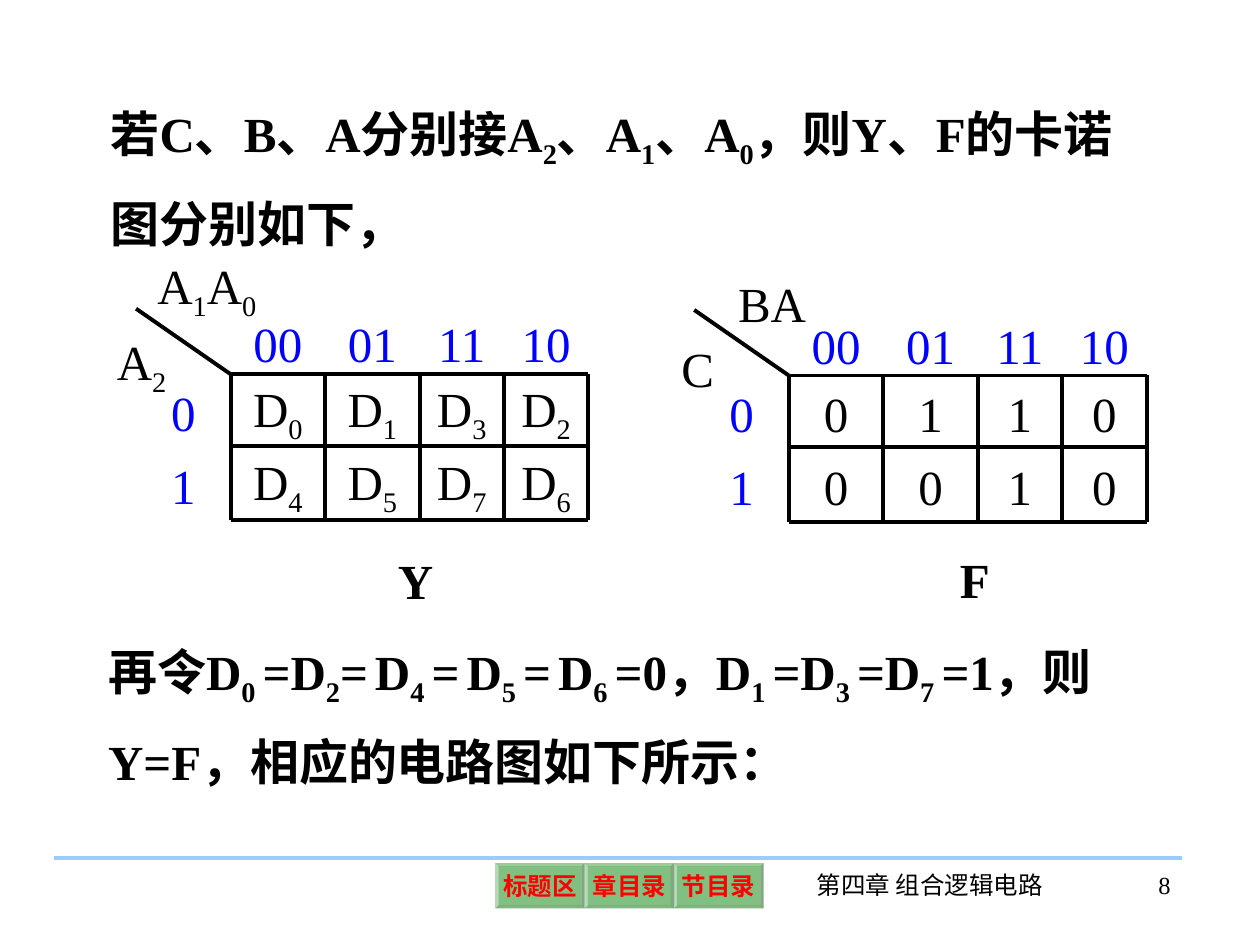
from itertools import accumulate

from lxml import etree
from pptx import Presentation
from pptx.dml.color import RGBColor
from pptx.enum.shapes import MSO_CONNECTOR, MSO_SHAPE
from pptx.enum.text import MSO_ANCHOR, PP_ALIGN
from pptx.oxml.ns import qn
from pptx.util import Inches, Pt

COLORS = {"text": "000000", "code": "0000FF", "rule": "99CCFF",
          "button": "008000", "button_text": "FF0000"}
FONT = "Times New Roman"
COLUMN_WIDTHS = [0.75, 0.75, 0.75, 0.67, 0.67]
ROW_HEIGHTS = [0.52, 0.57, 0.59]
COLUMN_CODES = ["", "00", "01", "11", "10"]


def write(para, text, size=28, color="text", bold=False, align=PP_ALIGN.LEFT):
    """Fill a paragraph; every second part between bars is a subscript."""
    para.alignment = align
    for index, part in enumerate(text.split("|")):
        if not part:
            continue
        span = para.add_run()
        span.text = part
        span.font.name = FONT
        span.font.size = Pt(size)
        span.font.bold = bold
        span.font.color.rgb = RGBColor.from_string(COLORS[color])
        if index % 2:
            span._r.get_or_add_rPr().set("baseline", "-25000")


def add_text(page, left, top, width, height, text, spacing=None, **style):
    box = page.shapes.add_textbox(Inches(left), Inches(top), Inches(width), Inches(height))
    frame = box.text_frame
    frame.word_wrap = True
    para = frame.paragraphs[0]
    if spacing:
        para.line_spacing = spacing
    write(para, text, **style)
    return frame


def set_middle(frame, margin):
    frame.vertical_anchor = MSO_ANCHOR.MIDDLE
    frame.margin_left = frame.margin_right = Inches(margin)
    frame.margin_top = frame.margin_bottom = Inches(margin)


def add_line(page, start, end, color="text"):
    line = page.shapes.add_connector(MSO_CONNECTOR.STRAIGHT, *map(Inches, start + end))
    line.line.color.rgb = RGBColor.from_string(COLORS[color])
    line.line.width = Pt(2.25)
    etree.SubElement(line._element.spPr, qn("a:effectLst"))


def add_karnaugh_map(page, left, top, rows, labels, caption):
    xs = [left + x for x in accumulate(COLUMN_WIDTHS, initial=0)]
    ys = [top + y for y in accumulate(ROW_HEIGHTS, initial=0)]

    # Codes along the edges, values inside the grid
    for r, values in enumerate([COLUMN_CODES] + rows):
        for c, value in enumerate(values):
            if value:
                frame = add_text(page, xs[c], ys[r], COLUMN_WIDTHS[c], ROW_HEIGHTS[r], value,
                                 color="text" if r and c else "code", align=PP_ALIGN.CENTER)
                set_middle(frame, 0.02)
                frame.margin_top = Inches(0.05)

    # Corner diagonal and grid lines
    add_line(page, (left, top), (xs[1], ys[1]))
    for x in xs[1:]:
        add_line(page, (x, ys[1]), (x, ys[-1]))
    for y in ys[1:]:
        add_line(page, (xs[1], y), (xs[-1], y))

    # Variable names and caption
    for text, x, y, width, height in labels:
        add_text(page, left + x, top + y, width, height, text)
    text, x, y = caption
    add_text(page, left + x, top + y, 0.54, 0.57, text, bold=True)


def add_button(page, left, top, width, height, text):
    button = page.shapes.add_shape(MSO_SHAPE.BEVEL, Inches(left), Inches(top),
                                   Inches(width), Inches(height))
    button.adjustments[0] = 0.07
    button.shadow.inherit = False
    button.fill.solid()
    button.fill.fore_color.rgb = RGBColor.from_string(COLORS["button"])
    color = button._element.spPr.find(qn("a:solidFill")).find(qn("a:srgbClr"))
    etree.SubElement(color, qn("a:alpha"), val="49000")
    button.line.fill.background()
    frame = button.text_frame
    frame.word_wrap = False
    set_middle(frame, 0.04)
    write(frame.paragraphs[0], text, size=14, color="button_text", bold=True,
          align=PP_ALIGN.CENTER)


def add_footer(page, left, top, width):
    add_line(page, (left, top), (left + width, top), "rule")
    for index, text in enumerate(["标题区", "章目录", "节目录"]):
        add_button(page, left + 3.5 + index * 0.71, top + 0.04, 0.71, 0.36, text)
    add_text(page, left + 5.81, top + 0.05, 2.28, 0.5, "第四章 组合逻辑电路",
             size=14, align=PP_ALIGN.CENTER)
    add_text(page, left + 8.1, top + 0.05, 0.86, 0.5, "8", size=14, align=PP_ALIGN.RIGHT)


def main():
    deck = Presentation()
    deck.slide_width, deck.slide_height = Inches(10), Inches(7.5)
    page = deck.slides.add_slide(deck.slide_layouts[6])

    # Opening statement
    opening = add_text(page, 0.78, 0.56, 8.42, 1.5,
                       "若C、B、A分别接A|2|、A|1|、A|0|，则Y、F的卡诺图分别如下，",
                       spacing=1.4, bold=True)
    opening.margin_right = 0

    # Karnaugh maps of Y and F
    add_karnaugh_map(page, 1.08, 2.45,
                     [["0", "D|0", "D|1", "D|3", "D|2"], ["1", "D|4", "D|5", "D|7", "D|6"]],
                     [("A|2", -0.25, 0.13, 0.77, 0.63), ("A|1|A|0", 0.07, -0.47, 1.28, 0.63)],
                     ("Y", 1.98, 1.87))
    add_karnaugh_map(page, 5.51, 2.46,
                     [["0", "0", "1", "1", "0"], ["1", "0", "0", "1", "0"]],
                     [("C", -0.2, 0.18, 0.45, 0.57), ("BA", 0.25, -0.34, 0.75, 0.57)],
                     ("F", 2.01, 1.85))

    # Conclusion
    add_text(page, 0.76, 4.83, 8.42, 1.5,
             "再令D|0 |=D|2|=| |D|4 |=| |D|5 |=| |D|6 |=0，D|1 |=D|3 |=D|7 |=1，"
             "则Y=F，相应的电路图如下所示：",
             spacing=1.4, bold=True)

    add_footer(page, 0.43, 6.81, 8.95)
    deck.save("out.pptx")


if __name__ == "__main__":
    main()
